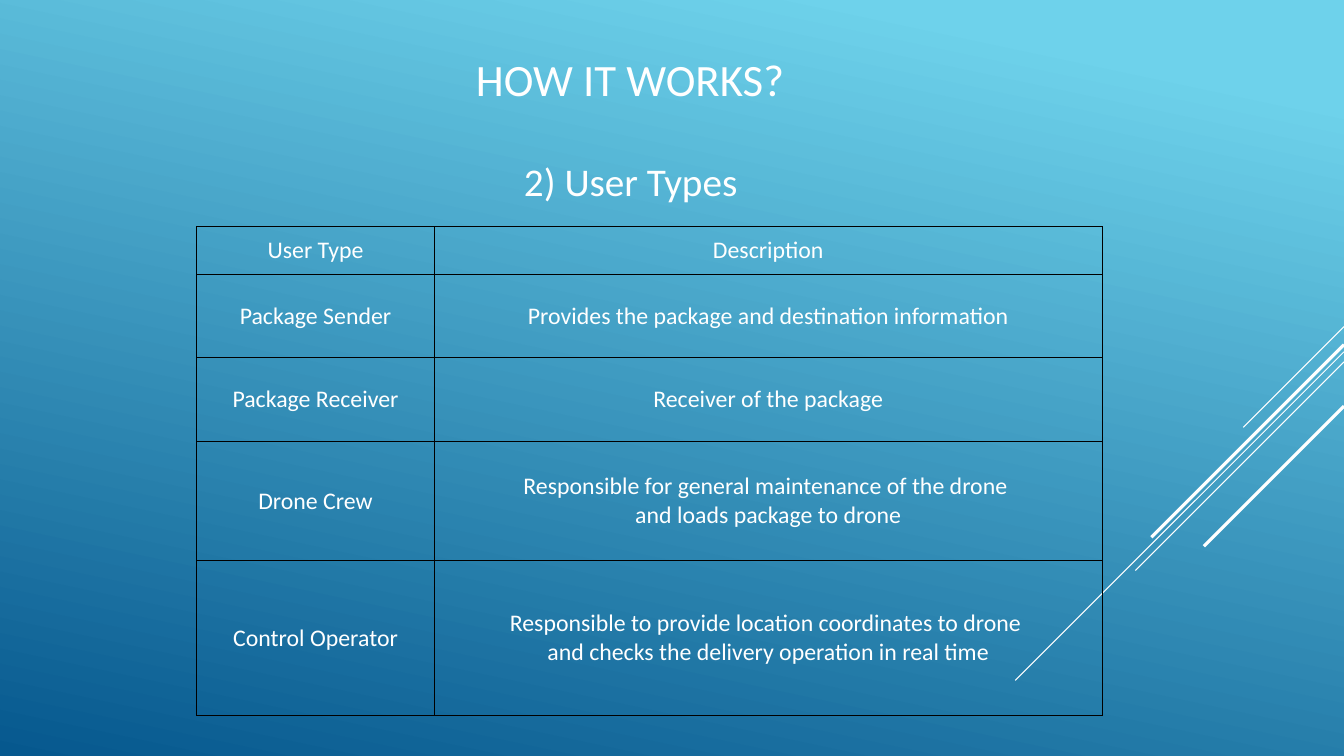
import pptx
import pptx.util
import pptx.dml.color
import pptx.enum.shapes
import pptx.enum.text
import pptx.oxml
import pptx.oxml.ns

TITLE = "HOW IT WORKS?"
SUBTITLE = "2) User Types"
ROWS = [
    ("User Type", ["Description"]),
    ("Package Sender", ["Provides the package and destination information"]),
    ("Package Receiver", ["Receiver of the package"]),
    ("Drone Crew", ["Responsible for general maintenance of the drone ",
                    "and loads package to drone"]),
    ("Control Operator", ["Responsible to provide location coordinates to drone ",
                          "and checks the delivery operation in real time"]),
]
COLORS = {"text": "FFFFFF", "border": "000000", "light": "6ED2EB", "dark": "06588E"}
FONT = "Calibri"
W, H = 13.33, 7.5
COL_WIDTHS = [2.36, 6.62]
ROW_HEIGHTS = [0.47, 0.83, 0.83, 1.18, 1.54]
DIAGONALS = [(3.24, 1, 0.75), (3.49, 3.26, 0.75), (3.59, 2.07, 0.75),
             (3.42, 1.91, 2.25), (4.03, 1.39, 2.25)]

Inches, Pt = pptx.util.Inches, pptx.util.Pt


def rgb(name):
    return pptx.dml.color.RGBColor.from_string(COLORS[name])


def write(tf, lines, size):
    tf.word_wrap = True
    tf.vertical_anchor = pptx.enum.text.MSO_ANCHOR.MIDDLE
    for i, line in enumerate(lines):
        p = tf.paragraphs[0] if i == 0 else tf.add_paragraph()
        p.alignment = pptx.enum.text.PP_ALIGN.CENTER
        r = p.add_run()
        r.text = line
        r.font.size = Pt(size)
        r.font.name = FONT
        r.font.bold = False
        r.font.color.rgb = rgb("text")


def place(sp, *box):
    sp.left, sp.top, sp.width, sp.height = map(Inches, box)


def add_borders(cell):
    tcPr = cell._tc.get_or_add_tcPr()
    for side in ("lnL", "lnR", "lnT", "lnB"):
        tcPr.append(pptx.oxml.parse_xml(
            f'<a:{side} {pptx.oxml.ns.nsdecls("a")} w="{Pt(0.75)}"><a:solidFill>'
            f'<a:srgbClr val="{COLORS["border"]}"/></a:solidFill></a:{side}>'))


prs = pptx.Presentation()
prs.slide_width, prs.slide_height = Inches(W), Inches(H)
s = prs.slides.add_slide(prs.slide_layouts[5])

fill = s.background.fill
fill.gradient()
fill.gradient_angle = 360 - 102
for stop, name, position in zip(fill.gradient_stops, ("light", "dark"), (0.1, 1)):
    stop.color.rgb = rgb(name)
    stop.position = position

for top, run, weight in DIAGONALS:
    line = s.shapes.add_connector(
        pptx.enum.shapes.MSO_CONNECTOR.STRAIGHT,
        Inches(W), Inches(top), Inches(W - run), Inches(top + run))
    line.line.color.rgb = rgb("text")
    line.line.width = Pt(weight)
    line._element.spPr.append(
        pptx.oxml.parse_xml(f'<a:effectLst {pptx.oxml.ns.nsdecls("a")}/>'))

title = s.shapes.title
place(title, 0.75, 0.25, 11, 1.05)
write(title.text_frame, [TITLE], 32)

subtitle = s.shapes.add_textbox(*map(Inches, (0.65, 1.51, 11.21, 0.57)))
write(subtitle.text_frame, [SUBTITLE], 28)

frame = s.shapes.add_table(
    len(ROWS), len(COL_WIDTHS), Inches(1.95), Inches(2.25),
    Inches(sum(COL_WIDTHS)), Inches(sum(ROW_HEIGHTS)))
table = frame.table
table.first_row = table.horz_banding = False
for column, width in zip(table.columns, COL_WIDTHS):
    column.width = Inches(width)
for i, (user_type, description) in enumerate(ROWS):
    table.rows[i].height = Inches(ROW_HEIGHTS[i])
    for j, lines in enumerate(([user_type], description)):
        cell = table.cell(i, j)
        add_borders(cell)
        cell.fill.background()
        cell.margin_left = cell.margin_right = Inches(0.08)
        cell.margin_top = cell.margin_bottom = Inches(0.05)
        cell.vertical_anchor = pptx.enum.text.MSO_ANCHOR.MIDDLE
        write(cell.text_frame, lines, 17)

prs.save("out.pptx")
